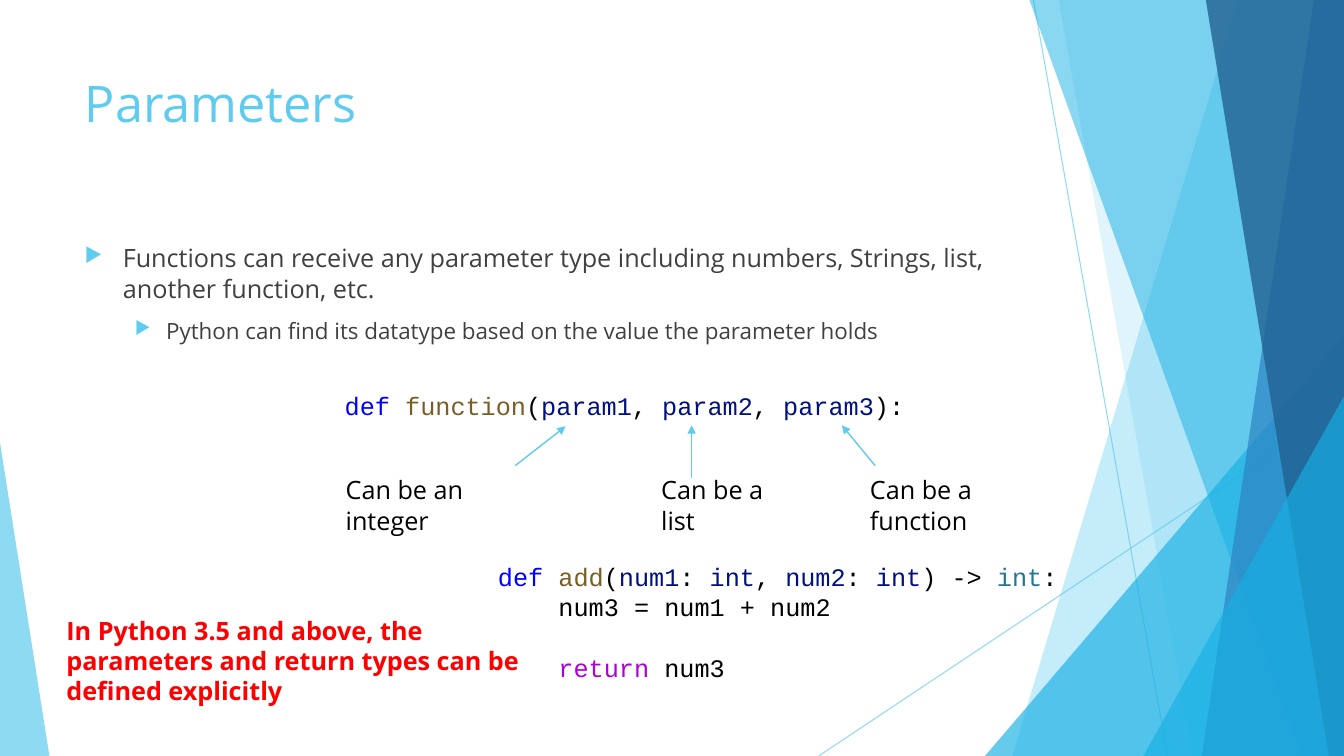
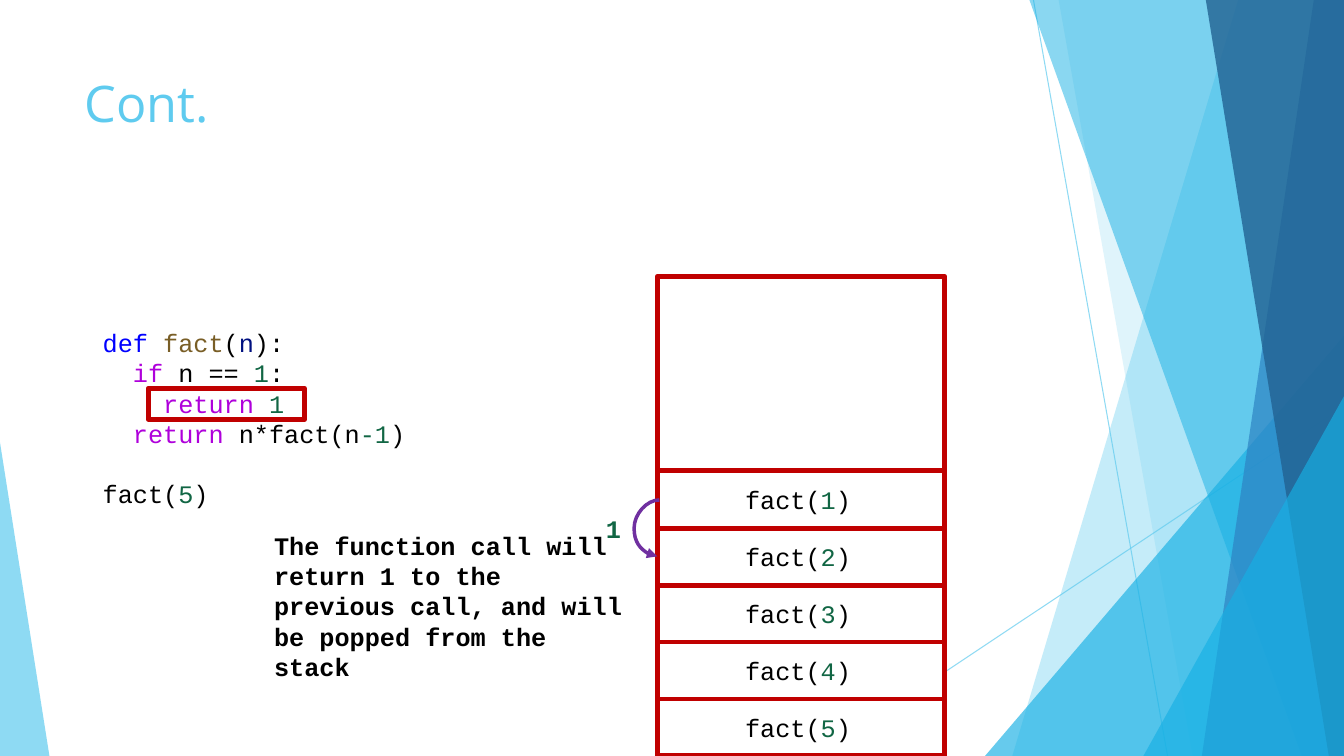
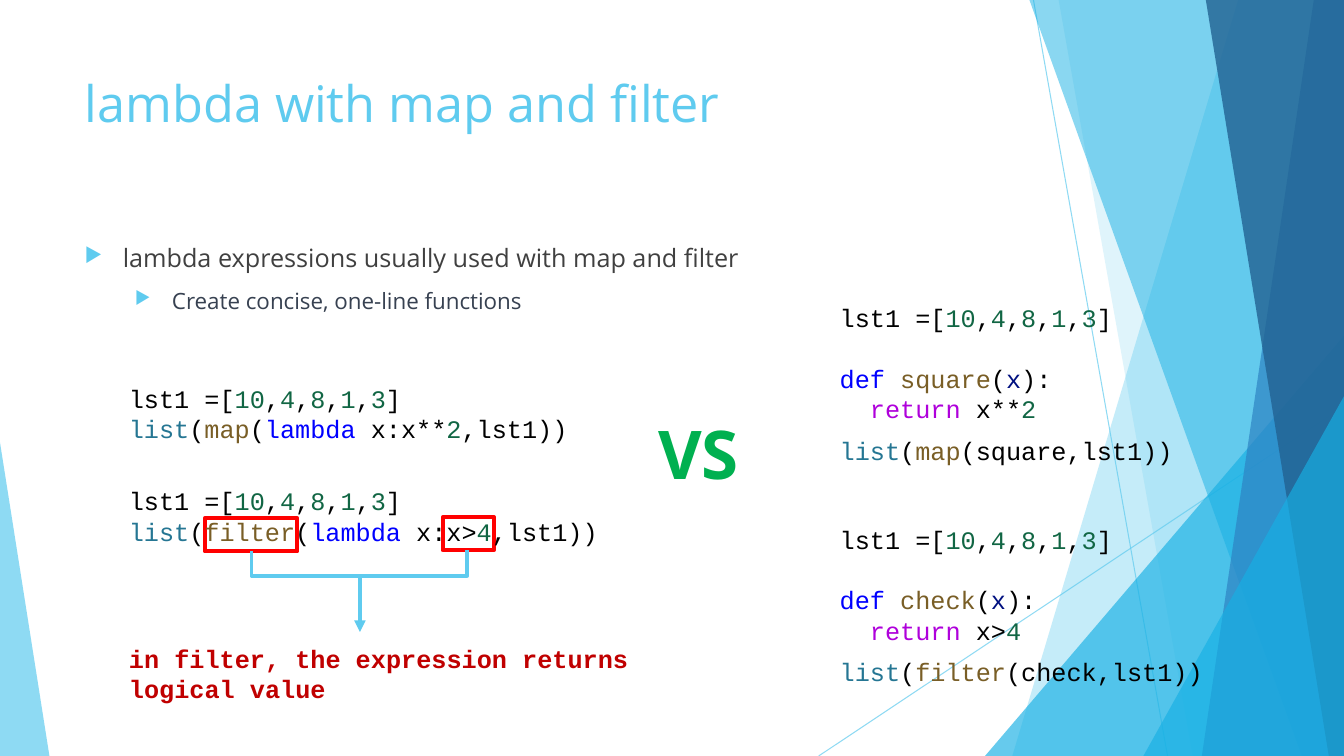
from lxml.etree import SubElement
from pptx import Presentation
from pptx.dml.color import RGBColor
from pptx.enum.shapes import MSO_CONNECTOR, MSO_SHAPE
from pptx.enum.text import MSO_ANCHOR, MSO_AUTO_SIZE, PP_ALIGN
from pptx.oxml.ns import qn
from pptx.util import Inches, Pt

WIDTH, HEIGHT = 13.33, 7.5
SANS, MONO = "Open Sans", "Courier New"
CHARACTER_WIDTH = 0.15  # inches, for code at 18 points
LINE_HEIGHT = 21.6  # points, for code at 18 points

COLOURS = {
    "white": "FFFFFF",
    "black": "000000",
    "body": "404040",
    "slate": "374151",
    "sky": "5FCBEF",
    "cyan": "17B0E4",
    "blue": "2E83C3",
    "navy": "226292",
    "red": "FF0000",
    "crimson": "C00000",
    "green": "00B050",
    "purple": "7030A0",
    "keyword": "0000FF",
    "flow": "AF00DB",
    "name": "795E26",
    "variable": "001080",
    "type": "257693",
    "number": "116644",
}

NUMBERS = ",".join("{number:%d}" % number for number in (10, 4, 8, 1, 3))
LIST_LINE = f"lst1 =[{NUMBERS}]"


def rgb(name):
    return RGBColor.from_string(COLOURS[name])


def set_opacity(shape, percent):
    for colour in shape.element.spPr.iter(qn("a:srgbClr")):
        SubElement(colour, qn("a:alpha"), val=str(percent * 1000))


def split_markup(line, colour):
    """Yield (text, colour) pairs; {name:text} colours a part of the line."""
    plain, *marked = line.split("{")
    if plain:
        yield plain, colour
    for part in marked:
        tagged, _, rest = part.partition("}")
        name, _, text = tagged.partition(":")
        yield text, name
        if rest:
            yield rest, colour


class Deck:
    def __init__(self):
        self.presentation = Presentation()
        self.presentation.slide_width = Inches(WIDTH)
        self.presentation.slide_height = Inches(HEIGHT)
        self.layout = self.presentation.slide_layouts[5]
        self.slide = None

    def add_slide(self, title):
        is_first = self.slide is None
        self.slide = self.presentation.slides.add_slide(self.layout)
        if is_first:
            self.add_backdrop()
        shape = self.slide.shapes.title
        shape.left, shape.top = Inches(0.74), Inches(0.67)
        shape.width, shape.height = Inches(9.4), Inches(1.44)
        frame = shape.text_frame
        frame.auto_size = MSO_AUTO_SIZE.NONE
        frame.vertical_anchor = MSO_ANCHOR.TOP
        frame.text = title
        paragraph = frame.paragraphs[0]
        paragraph.alignment = PP_ALIGN.LEFT
        self.format_run(paragraph.runs[0], SANS, 36, "sky")

    def add_backdrop(self):
        """Draw the shared facets and move them to the layout."""
        facets = []
        for start, end in (((10.25, 0), (11.58, HEIGHT)),
                           ((WIDTH, 4.03), (8.12, HEIGHT))):
            line = self.connect(start, end, "sky", 0.75)
            set_opacity(line, 70)
            facets.append(line)
        facets += [
            self.band(12.28, 10.04, "sky", 36),
            self.band(10.5, 11.83, "sky", 20),
            self.triangle(9.77, 3.33, 3.56, 1, "cyan", 66),
            self.band(10.21, 12.91, "cyan", 50),
            self.band(13.03, 11.92, "blue", 70),
            self.band(11.96, 13.18, "navy", 80),
            self.triangle(11.34, 3.93, 1.99, 1, "cyan", 66),
            self.triangle(0, 4.39, 0.49, 0, "sky", 70),
        ]
        for facet in facets:
            self.layout.shapes.element.append(facet.element)

    def style_shape(self, shape, fill, opacity=None, line=None, weight=0):
        shape.shadow.inherit = False
        shape.fill.solid()
        shape.fill.fore_color.rgb = rgb(fill)
        if opacity:
            set_opacity(shape, opacity)
        if line:
            shape.line.color.rgb = rgb(line)
            shape.line.width = Pt(weight)
        else:
            shape.line.fill.background()
        return shape

    def band(self, top_left, bottom_left, fill, opacity):
        """Add a full-height facet that reaches the right edge."""
        corners = [(top_left, 0), (WIDTH, 0), (WIDTH, HEIGHT), (bottom_left, HEIGHT)]
        points = [(Inches(x), Inches(y)) for x, y in corners]
        builder = self.slide.shapes.build_freeform(*points[0])
        builder.add_line_segments(points[1:], close=True)
        return self.style_shape(builder.convert_to_shape(), fill, opacity)

    def triangle(self, left, top, width, apex, fill, opacity):
        shape = self.slide.shapes.add_shape(
            MSO_SHAPE.ISOSCELES_TRIANGLE,
            Inches(left), Inches(top), Inches(width), Inches(HEIGHT - top))
        shape.adjustments[0] = apex
        return self.style_shape(shape, fill, opacity)

    def box(self, left, top, width, height, line, weight):
        shape = self.slide.shapes.add_shape(
            MSO_SHAPE.RECTANGLE,
            Inches(left), Inches(top), Inches(width), Inches(height))
        return self.style_shape(shape, "white", line=line, weight=weight)

    def connect(self, start, end, colour, weight, arrow=False,
                kind=MSO_CONNECTOR.STRAIGHT, bend=None, rotation=0):
        """Add a connector; bend is the turning point in connector widths."""
        line = self.slide.shapes.add_connector(
            kind, *(Inches(value) for value in (*start, *end)))
        line.line.color.rgb = rgb(colour)
        line.line.width = Pt(weight)
        properties = line.element.spPr
        if arrow:
            SubElement(properties.find(qn("a:ln")), qn("a:tailEnd"), type="triangle")
        if bend is not None:
            guides = properties.find(qn("a:prstGeom")).find(qn("a:avLst"))
            SubElement(guides, qn("a:gd"), name="adj1",
                       fmla=f"val {round(bend * 100000)}")
        if rotation:
            properties.find(qn("a:xfrm")).set("rot", str(rotation * 60000))
        SubElement(properties, qn("a:effectLst"))
        return line

    def format_run(self, run, font, size, colour, bold=False):
        run.font.name = font
        run.font.size = Pt(size)
        run.font.color.rgb = rgb(colour)
        run.font.bold = bold

    def fill_frame(self, frame, markup, font=MONO, size=18, colour="black", bold=False):
        """Set marked-up text; leading spaces become indents, empty lines spacing."""
        paragraph, gap = frame.paragraphs[0], 0
        for index, line in enumerate(markup.split("\n")):
            if not line:
                gap += LINE_HEIGHT
                continue
            if index:
                paragraph = frame.add_paragraph()
            paragraph.alignment = PP_ALIGN.LEFT
            paragraph.space_before = Pt(gap)
            gap = 0
            code = line.lstrip()
            indent = (len(line) - len(code)) * CHARACTER_WIDTH
            paragraph._p.get_or_add_pPr().set("marL", str(Inches(indent)))
            for text, name in split_markup(code, colour):
                run = paragraph.add_run()
                run.text = text
                self.format_run(run, font, size, name, bold)

    def text(self, left, top, width, height, markup, **style):
        shape = self.slide.shapes.add_textbox(
            Inches(left), Inches(top), Inches(width), Inches(height))
        shape.text_frame.word_wrap = True
        self.fill_frame(shape.text_frame, markup, **style)

    def bullets(self, point, detail, detail_colour="body"):
        shape = self.slide.shapes.add_textbox(
            Inches(0.74), Inches(2.36), Inches(9.4), Inches(4.24))
        frame = shape.text_frame
        frame.word_wrap = True
        levels = ((point, 18, "body", 0.38, 0.38), (detail, 16, detail_colour, 0.81, 0.31))
        for level, (text, size, colour, margin, hanging) in enumerate(levels):
            paragraph = frame.add_paragraph() if level else frame.paragraphs[0]
            paragraph.text = text
            paragraph.level = level
            paragraph.space_before = Pt(10)
            self.format_run(paragraph.runs[0], SANS, size, colour)
            properties = paragraph._p.get_or_add_pPr()
            properties.set("marL", str(Inches(margin)))
            properties.set("indent", str(Inches(-hanging)))
            bullet_colour = SubElement(properties, qn("a:buClr"))
            SubElement(bullet_colour, qn("a:srgbClr"), val=COLOURS["sky"])
            SubElement(properties, qn("a:buSzPct"), val="80000")
            SubElement(properties, qn("a:buChar"), char="▶")


def add_parameters_slide(deck):
    deck.add_slide("Parameters")
    deck.bullets(
        "Functions can receive any parameter type including numbers, Strings, list, "
        "another function, etc.",
        "Python can find its datatype based on the value the parameter holds")
    deck.text(3.32, 3.82, 6.67, 0.4,
              "{keyword:def} {name:function}({variable:param1}, "
              "{variable:param2}, {variable:param3}):")
    for start, end in (((5.11, 4.62), (5.61, 4.23)),
                       ((6.86, 4.74), (6.86, 4.22)),
                       ((8.68, 4.62), (8.35, 4.22))):
        deck.connect(start, end, "sky", 1, arrow=True)
    for left, width, label in ((3.33, 2.01, "Can be an integer"),
                               (6.46, 1.44, "Can be a list"),
                               (8.53, 2, "Can be a function")):
        deck.text(left, 4.66, width, 0.4, label, font=SANS)
    deck.text(4.84, 5.52, 6.67, 1.31,
              "{keyword:def} {name:add}({variable:num1}: {variable:int}, "
              "{variable:num2}: {variable:int}) -> {type:int}:\n"
              "    num3 = num1 + num2\n"
              "\n"
              "    {flow:return} num3")
    deck.text(0.56, 6.05, 4.78, 0.71,
              "In Python 3.5 and above, the parameters and return types "
              "can be defined explicitly",
              font=SANS, colour="red", bold=True)


def add_call_stack_slide(deck):
    deck.add_slide("Cont.")
    deck.box(1.47, 3.85, 1.55, 0.31, "crimson", 3.5)
    deck.text(0.92, 3.2, 4.21, 1.92,
              "{keyword:def} {name:fact}({variable:n}):\n"
              "  {flow:if} n == {number:1}:\n"
              "    {flow:return} {number:1}\n"
              "  {flow:return} n*fact(n{number:-1})\n"
              "\n"
              "fact({number:5})")
    stack_left, stack_width, first_top, cell_height = 6.52, 2.85, 4.67, 0.57
    deck.box(stack_left, 2.74, stack_width, 4.76, "crimson", 3.5)
    step = (HEIGHT - cell_height - first_top) / 4
    for index in reversed(range(5)):
        cell = deck.box(stack_left, first_top + index * step, stack_width,
                        cell_height, "crimson", 3.5)
        frame = cell.text_frame
        frame.margin_left = Inches(0.87)
        frame.vertical_anchor = MSO_ANCHOR.MIDDLE
        deck.fill_frame(frame, "fact({number:%d})" % (index + 1))
    deck.connect((6.54, 4.96), (6.52, 5.52), "purple", 2.5, arrow=True,
                 kind=MSO_CONNECTOR.CURVE, bend=12.5)
    deck.text(5.91, 5.04, 0.75, 0.4, "{number:1}", bold=True)
    deck.text(2.62, 5.21, 3.77, 1.62,
              "The function call will return 1 to the previous call, "
              "and will be popped from the stack", bold=True)


def add_lambda_slide(deck):
    deck.add_slide("lambda with map and filter")
    deck.box(2.03, 5.14, 0.92, 0.33, "red", 2.75)
    deck.box(4.39, 5.13, 0.51, 0.33, "red", 2.75)
    deck.bullets("lambda expressions usually used with map and filter",
                 " Create concise, one-line functions", "slate")
    examples = (
        ("map", "x**{number:2}", "square", 3.75, 2.95, 4.27),
        ("filter", "x>{number:4}", "check", 4.77, 5.15, 6.46),
    )
    for function, expression, helper, lambda_top, helper_top, call_top in examples:
        call = "{type:list}({name:%s}(" % function
        deck.text(1.18, lambda_top, 6.67, 0.71,
                  f"{LIST_LINE}\n{call}{{keyword:lambda}} x:{expression},lst1))")
        deck.text(8.23, helper_top, 3.63, 1.31,
                  f"{LIST_LINE}\n\n"
                  f"{{keyword:def}} {{name:{helper}}}({{variable:x}}):\n"
                  f"  {{flow:return}} {expression}")
        deck.text(8.23, call_top, 4.57, 0.4, f"{call}{helper},lst1))")
    deck.text(6.43, 4.04, 1.04, 0.91, "VS", font=SANS, size=48, colour="green", bold=True)
    deck.connect((3.57, 6.53), (3.56, 4.39), "sky", 2.75,
                 kind=MSO_CONNECTOR.ELBOW, bend=-25, rotation=90)
    deck.connect((3.57, 5.72), (3.57, 6.27), "sky", 2.75, arrow=True)
    deck.text(1.18, 6.33, 5.48, 0.71,
              "in filter, the expression returns logical value",
              colour="crimson", bold=True)


def main():
    deck = Deck()
    add_parameters_slide(deck)
    add_call_stack_slide(deck)
    add_lambda_slide(deck)
    deck.presentation.save("out.pptx")


if __name__ == "__main__":
    main()
